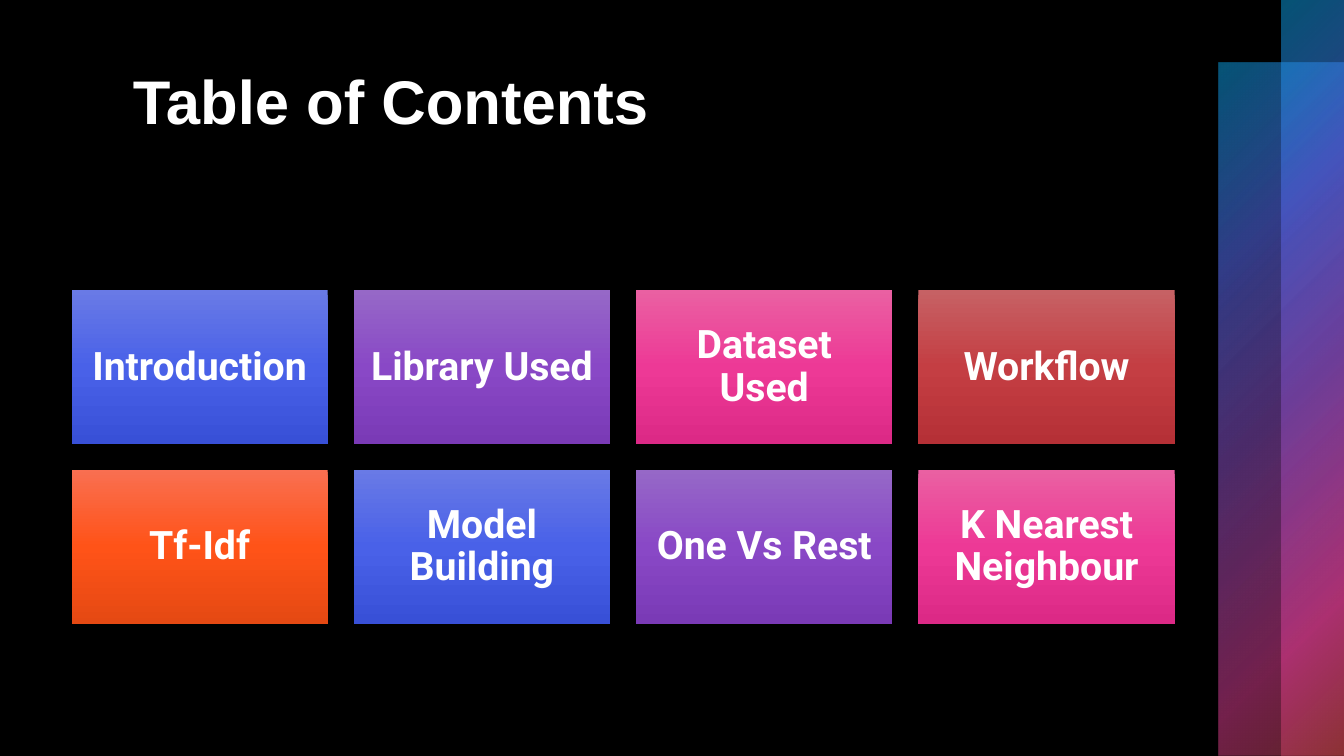
from dataclasses import dataclass

from lxml.etree import SubElement
from pptx import Presentation
from pptx.dml.color import RGBColor
from pptx.enum.shapes import MSO_SHAPE
from pptx.enum.text import MSO_ANCHOR, PP_ALIGN
from pptx.oxml.ns import qn
from pptx.shapes.autoshape import Shape
from pptx.slide import Slide
from pptx.text.text import TextFrame
from pptx.util import Inches, Pt


@dataclass(frozen=True)
class Stop:
    position: int
    color: str
    opacity: int = 100


Gradient = tuple[Stop, ...]


def three_tone(top: str, middle: str, bottom: str) -> Gradient:
    return Stop(0, top), Stop(50, middle), Stop(100, bottom)


@dataclass(frozen=True)
class Theme:
    background: str = "000000"
    text: str = "FFFFFF"
    title_font: str = "Arial"
    topic_font: str = "Roboto"
    title_size: int = 44
    topic_size: int = 28
    blue: Gradient = three_tone("697AE6", "4961E8", "3850D7")
    purple: Gradient = three_tone("9668C7", "8948C6", "7A3AB6")
    pink: Gradient = three_tone("EA60A2", "ED3996", "DC2986")
    red: Gradient = three_tone("C66164", "C43E43", "B53036")
    orange: Gradient = three_tone("F96F51", "FF5318", "E54913")
    ribbon: Gradient = (
        Stop(0, "0BA5E8", 50),
        Stop(25, "5066E1", 60),
        Stop(50, "894EC0", 55),
        Stop(81, "E54196", 50),
        Stop(99, "BE4449", 50),
    )


@dataclass(frozen=True)
class Box:
    left: float
    top: float
    width: float
    height: float

    def lengths(self) -> tuple[Inches, Inches, Inches, Inches]:
        return Inches(self.left), Inches(self.top), Inches(self.width), Inches(self.height)


@dataclass(frozen=True)
class Topic:
    label: str
    gradient: Gradient


THEME = Theme()
SLIDE_WIDTH, SLIDE_HEIGHT = 13.33, 7.5
RIBBON_STEP = 0.62
TITLE_BOX = Box(1.22, 0.5, 10.37, 1.7)
FIRST_TOPIC = Box(0.71, 2.88, 2.54, 1.53)
COLUMNS = 4
COLUMN_PITCH, ROW_PITCH = 2.8, 1.78

RIBBONS = (
    Box(SLIDE_WIDTH - 2 * RIBBON_STEP, RIBBON_STEP, 2 * RIBBON_STEP, SLIDE_HEIGHT - RIBBON_STEP),
    Box(SLIDE_WIDTH - RIBBON_STEP, 0, RIBBON_STEP, SLIDE_HEIGHT),
)
TOPICS = (
    Topic("Introduction", THEME.blue),
    Topic("Library Used", THEME.purple),
    Topic("Dataset Used", THEME.pink),
    Topic("Workflow", THEME.red),
    Topic("Tf-Idf", THEME.orange),
    Topic("Model Building", THEME.blue),
    Topic("One Vs Rest", THEME.purple),
    Topic("K Nearest Neighbour", THEME.pink),
)

TITLE_FRAME = {"word_wrap": True, "vertical_anchor": MSO_ANCHOR.TOP, "margin_top": Inches(0.12)}
TITLE_PARAGRAPH = {"alignment": PP_ALIGN.LEFT}
TITLE_TYPE = {"name": THEME.title_font, "size": Pt(THEME.title_size), "bold": True}
TOPIC_FRAME = {
    "word_wrap": True,
    "vertical_anchor": MSO_ANCHOR.MIDDLE,
    **{f"margin_{side}": Inches(0.12) for side in ("left", "top", "right", "bottom")},
}
TOPIC_PARAGRAPH = {"alignment": PP_ALIGN.CENTER, "line_spacing": 0.9}
TOPIC_TYPE = {"name": THEME.topic_font, "size": Pt(THEME.topic_size), "bold": True}


def apply_format(target: object, values: dict) -> None:
    for attribute, value in values.items():
        setattr(target, attribute, value)


def fill_gradient(shape: Shape, gradient: Gradient, radial: bool) -> None:
    shape.fill.background()
    properties = shape.fill._xPr
    placeholder = properties.find(qn("a:noFill"))
    gradient_fill = SubElement(properties, qn("a:gradFill"), rotWithShape="1")
    properties.replace(placeholder, gradient_fill)
    stops = SubElement(gradient_fill, qn("a:gsLst"))
    for stop in gradient:
        entry = SubElement(stops, qn("a:gs"), pos=str(stop.position * 1000))
        color = SubElement(entry, qn("a:srgbClr"), val=stop.color)
        if stop.opacity < 100:
            SubElement(color, qn("a:alpha"), val=str(stop.opacity * 1000))
    if radial:
        circle = SubElement(gradient_fill, qn("a:path"), path="circle")
        SubElement(circle, qn("a:fillToRect"), r="100000", b="100000")
    else:
        SubElement(gradient_fill, qn("a:lin"), ang="5400000", scaled="0")


def draw_panel(slide: Slide, box: Box, gradient: Gradient, radial: bool = False) -> Shape:
    panel = slide.shapes.add_shape(MSO_SHAPE.RECTANGLE, *box.lengths())
    panel.shadow.inherit = False
    panel.line.fill.background()
    fill_gradient(panel, gradient, radial)
    return panel


def write_text(frame: TextFrame, text: str, layout: dict, spacing: dict, typeface: dict) -> None:
    apply_format(frame, layout)
    paragraph = frame.paragraphs[0]
    apply_format(paragraph, spacing)
    run = paragraph.add_run()
    run.text = text
    apply_format(run.font, typeface)
    run.font.color.rgb = RGBColor.from_string(THEME.text)


def draw_title(slide: Slide) -> None:
    title = slide.shapes.add_textbox(*TITLE_BOX.lengths())
    write_text(title.text_frame, "Table of Contents", TITLE_FRAME, TITLE_PARAGRAPH, TITLE_TYPE)


def draw_topic(slide: Slide, topic: Topic, index: int) -> None:
    row, column = divmod(index, COLUMNS)
    box = Box(
        FIRST_TOPIC.left + column * COLUMN_PITCH,
        FIRST_TOPIC.top + row * ROW_PITCH,
        FIRST_TOPIC.width,
        FIRST_TOPIC.height,
    )
    tile = draw_panel(slide, box, topic.gradient)
    write_text(tile.text_frame, topic.label, TOPIC_FRAME, TOPIC_PARAGRAPH, TOPIC_TYPE)


def main() -> None:
    presentation = Presentation()
    presentation.slide_width = Inches(SLIDE_WIDTH)
    presentation.slide_height = Inches(SLIDE_HEIGHT)
    slide = presentation.slides.add_slide(presentation.slide_layouts[6])
    slide.background.fill.solid()
    slide.background.fill.fore_color.rgb = RGBColor.from_string(THEME.background)
    for ribbon in RIBBONS:
        draw_panel(slide, ribbon, THEME.ribbon, radial=True)
    draw_title(slide)
    for index, topic in enumerate(TOPICS):
        draw_topic(slide, topic, index)
    presentation.save("out.pptx")


if __name__ == "__main__":
    main()
